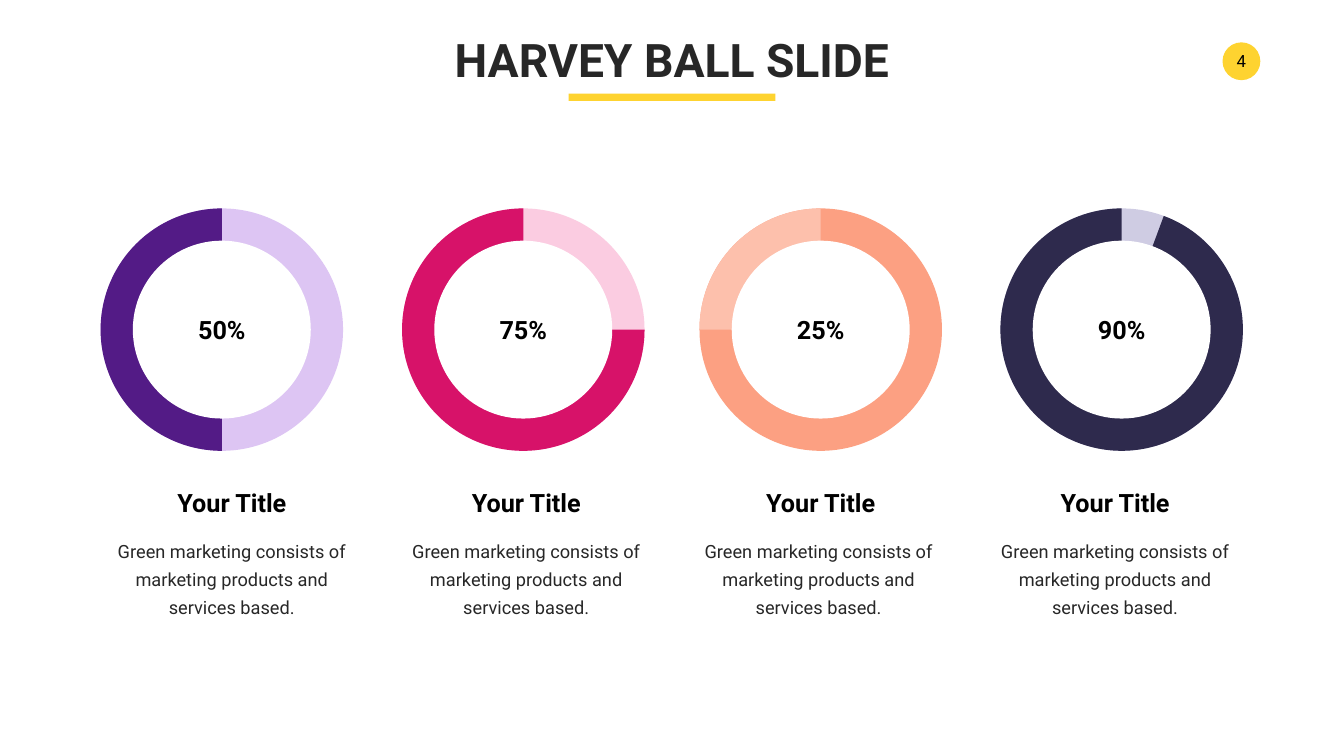
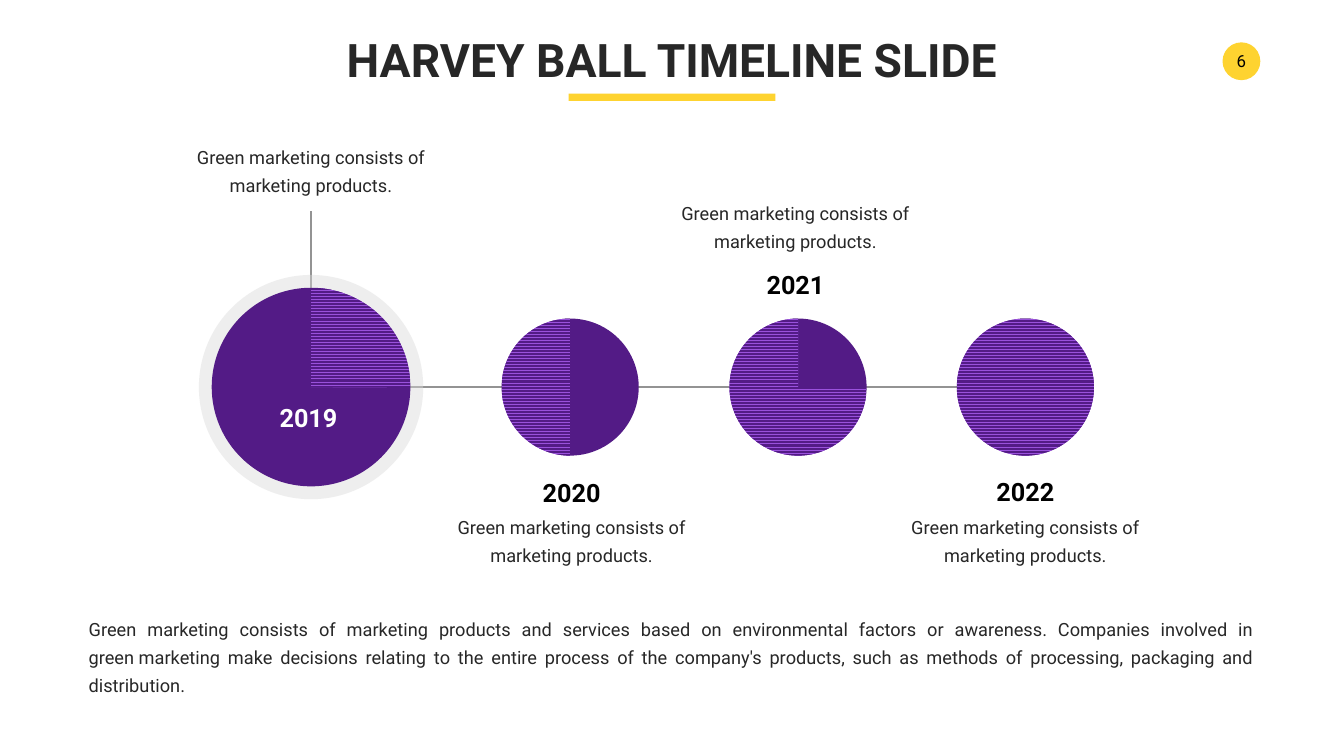
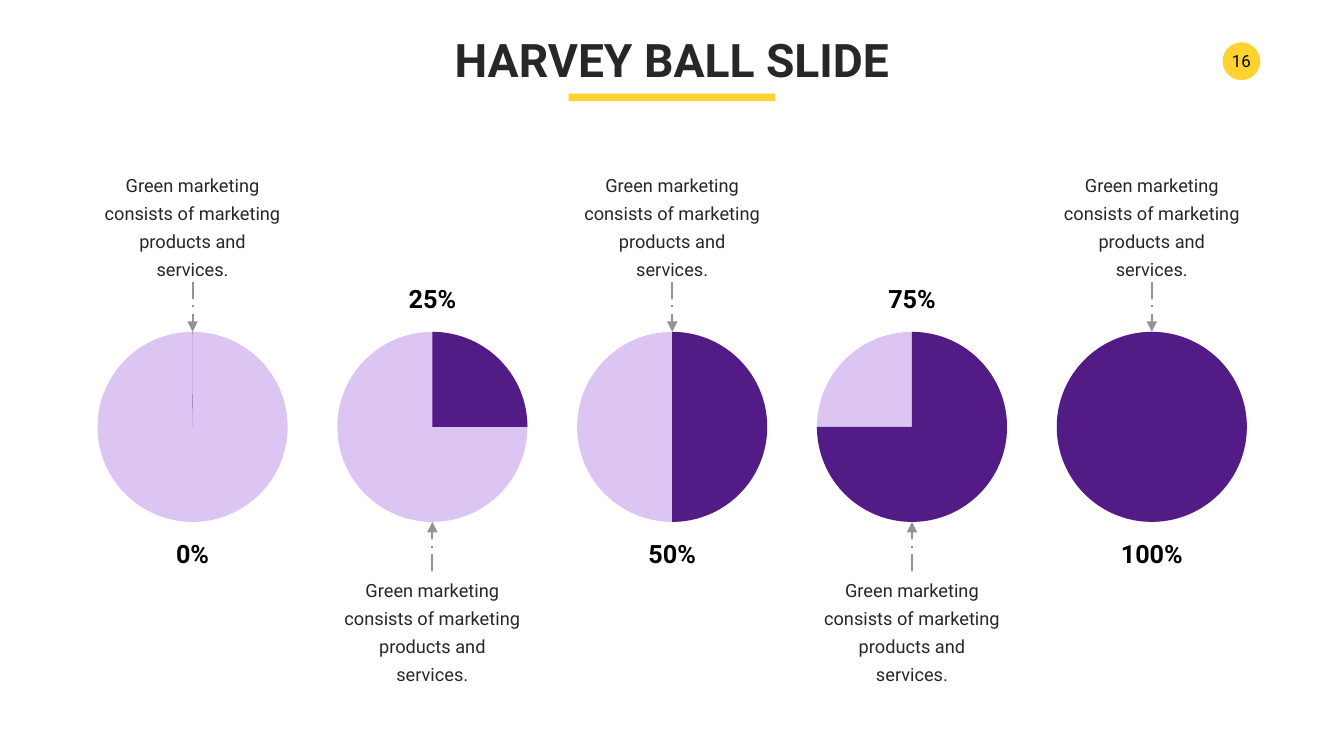
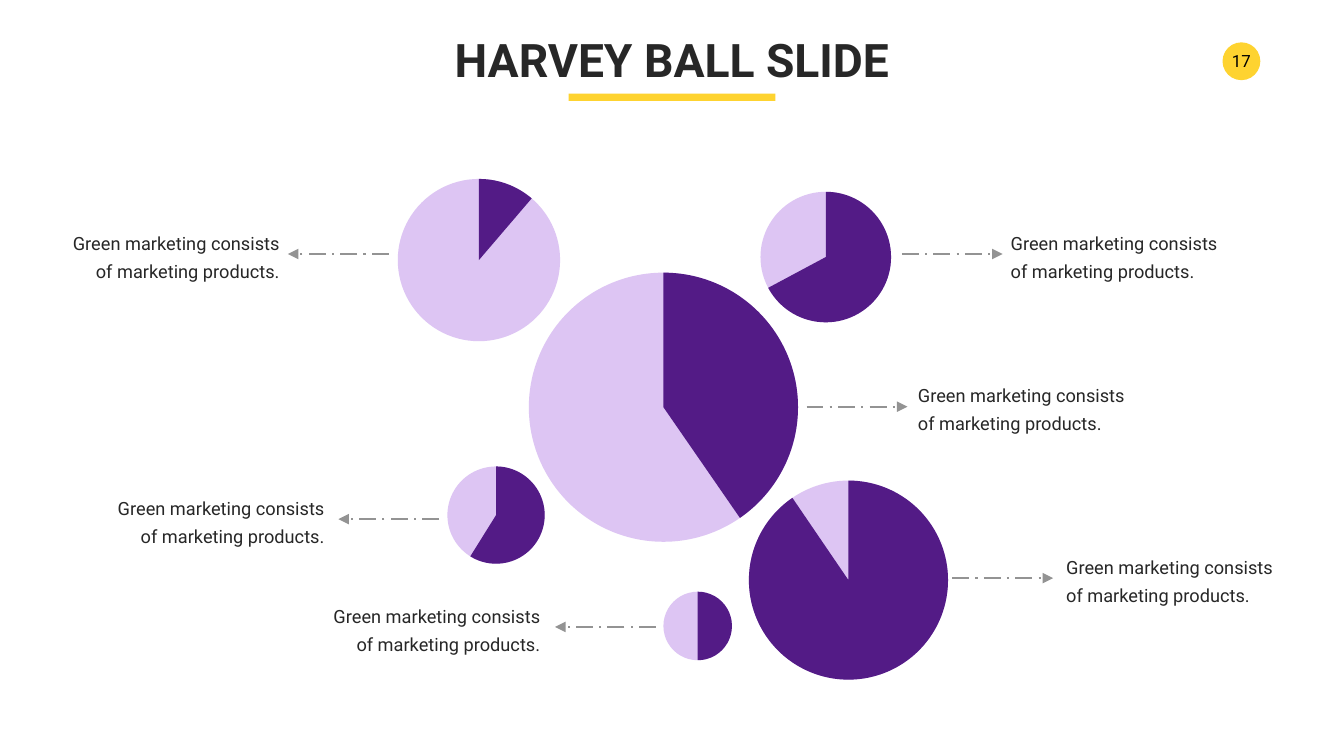
from lxml.etree import SubElement
from pptx import Presentation
from pptx.dml.color import RGBColor
from pptx.enum.dml import MSO_LINE, MSO_PATTERN
from pptx.enum.shapes import MSO_CONNECTOR, MSO_SHAPE
from pptx.enum.text import MSO_ANCHOR as ANCHOR, MSO_AUTO_SIZE as AUTO, PP_ALIGN as ALIGN
from pptx.oxml.ns import qn
from pptx.util import Inches, Pt

# Shared colours
YELLOW, DARK, BLACK, WHITE = "FED330", "272727", "000000", "FFFFFF"
PURPLE, LILAC, STRIPE = "531B86", "DDC5F3", "9A51DC"
GREY, HALO = "939393", "D9D9D9"

# Shared text styles
FONT = "Roboto"
TITLE = {"name": FONT, "size": Pt(66), "bold": True}
LABEL = {"name": FONT, "size": Pt(36), "bold": True}
BODY = {"name": FONT, "size": Pt(26), "bold": False}
NUMBER = {"name": FONT, "size": Pt(24), "bold": False}

NBSP = chr(160)  # keeps two words on one line
PRODUCTS = "Green marketing consists of marketing products."
SERVICES = "Green marketing consists of marketing products and services."
BASED = "Green marketing consists of marketing products and services based."
SUMMARY = (
    "Green marketing consists of marketing products and services based on "
    f"environmental factors or awareness. Companies involved in green{NBSP}marketing "
    "make decisions relating to the entire process of the company's products, "
    "such as methods of processing, packaging and distribution."
)

TOP = 270  # angle of twelve o'clock, in degrees clockwise from three o'clock


def rgb(value):
    return RGBColor.from_string(value)


def box(*lengths):
    return [Inches(n) for n in lengths]


def write(sp, text, style, color, align=ALIGN.CENTER, anchor=ANCHOR.TOP,
          wrap=True, spacing=None):
    """Put one formatted paragraph in a shape."""
    tf = sp.text_frame
    tf.text = text
    tf.word_wrap = wrap
    tf.vertical_anchor = anchor
    p = tf.paragraphs[0]
    p.alignment = align
    if spacing:
        p.line_spacing = Pt(spacing)
    font = p.runs[0].font
    for name, value in style.items():
        setattr(font, name, value)
    font.color.rgb = rgb(color)
    return tf


def add_text(slide, text, x, y, w, h, style, color, **options):
    sp = slide.shapes.add_textbox(*box(x, y, w, h))
    write(sp, text, style, color, **options).auto_size = AUTO.SHAPE_TO_FIT_TEXT
    return sp


def add_label(slide, text, cx, y, w=1.15, color=BLACK):
    """Bold heading centred on cx."""
    add_text(slide, text, cx - w / 2, y, w, 0.71, LABEL, color, wrap=False)


def add_caption(slide, text, x, y, w, h, **options):
    return add_text(slide, text, x, y, w, h, BODY, DARK, spacing=40, **options)


def add_plain(slide, kind, x, y, w, h, color):
    sp = slide.shapes.add_shape(kind, *box(x, y, w, h))
    sp.shadow.inherit = False
    sp.fill.solid()
    sp.fill.fore_color.rgb = rgb(color)
    sp.line.fill.background()
    return sp


def add_disc(slide, cx, cy, d, color, kind=MSO_SHAPE.OVAL):
    return add_plain(slide, kind, cx - d / 2, cy - d / 2, d, d, color)


def add_ball(slide, cx, cy, d, base, slice_color, start, end, stripe=None):
    """Harvey ball: a disc with a slice running clockwise from start to end."""
    add_disc(slide, cx, cy, d, base)
    sp = add_disc(slide, cx, cy, d, slice_color, MSO_SHAPE.PIE)
    for i, angle in enumerate((start, end)):
        sp.adjustments[i] = angle * 0.6
    if stripe:
        sp.fill.patterned()
        sp.fill.pattern = MSO_PATTERN.ZIG_ZAG
        sp.fill.fore_color.rgb = rgb(slice_color)
        sp.fill.back_color.rgb = rgb(stripe)


def add_line(slide, x1, y1, x2, y2, width=2.5):
    cxn = slide.shapes.add_connector(MSO_CONNECTOR.STRAIGHT, *box(x1, y1, x2, y2))
    cxn.line.color.rgb = rgb(GREY)
    cxn.line.width = Pt(width)
    SubElement(cxn._element.spPr, qn("a:effectLst"))
    return cxn


def add_arrow(slide, x1, y1, x2, y2):
    cxn = add_line(slide, x1, y1, x2, y2, width=3)
    cxn.line.dash_style = MSO_LINE.LONG_DASH_DOT
    SubElement(cxn.line._get_or_add_ln(), qn("a:tailEnd"),
               type="triangle", w="lg", len="lg")
    return cxn


def add_slide(prs, title, number):
    """Title-only slide with the underline and the number badge."""
    slide = prs.slides.add_slide(prs.slide_layouts[5])
    sp = slide.shapes.title
    sp.left, sp.top, sp.width, sp.height = box(6.71, 0.57, 13.24, 1.21)
    write(sp, title, TITLE, DARK, wrap=False).auto_size = AUTO.SHAPE_TO_FIT_TEXT
    add_plain(slide, MSO_SHAPE.RECTANGLE, 11.28, 1.86, 4.1, 0.14, YELLOW)
    badge = add_plain(slide, MSO_SHAPE.OVAL, 24.25, 0.84, 0.75, 0.75, YELLOW)
    tf = write(badge, str(number), NUMBER, BLACK, anchor=ANCHOR.MIDDLE)
    for side in ("left", "top", "right", "bottom"):
        setattr(tf, f"margin_{side}", Inches(0.05))
    return slide


def rings_slide(prs):
    slide = add_slide(prs, "HARVEY BALL SLIDE", 4)
    rings = [  # label, ring centre, caption centre, base, slice, start angle
        ("50%", 4.4, 4.6, LILAC, PURPLE, 90),
        ("75%", 10.38, 10.44, "FBCCE1", "D71269", 0),
        ("25%", 16.28, 16.24, "FCA082", "FDC0AC", 180),
        ("90%", 22.25, 22.12, "CFCCE3", "2E2A4D", 290.33),
    ]
    cy = 6.54
    for i, (label, cx, caption_cx, base, color, start) in enumerate(rings):
        add_ball(slide, cx, cy, 4.81, base, color, start, TOP)
        add_disc(slide, cx, cy, 3.53, WHITE)
        add_label(slide, label, cx, 6.19)
        add_label(slide, "Your Title", 4.6 + 5.84 * i, 9.62, 2.4)
        add_caption(slide, BASED, caption_cx - 2.65, 10.55, 5.3, 1.73)


def timeline_slide(prs):
    slide = add_slide(prs, "HARVEY BALL TIMELINE SLIDE", 6)
    first, cy = 6.17, 7.68
    add_line(slide, first, cy, first, 4.19)
    add_line(slide, first, cy, 20.34, cy)

    # Large first ball on a translucent halo
    halo = add_disc(slide, first, cy, 4.45, HALO)
    clr = halo.fill._xPr.find(qn("a:solidFill"))[0]
    SubElement(clr, qn("a:alpha"), val="43000")
    add_ball(slide, first, cy, 3.94, PURPLE, PURPLE, TOP, 0.53, STRIPE)
    add_label(slide, "2019", 6.12, 7.93, 1.36, WHITE)
    add_caption(slide, PRODUCTS, first - 2.65, 2.77, 5.3, 1.17, anchor=ANCHOR.BOTTOM)

    later = [  # year, ball centre, text centre, slice angles, text tops, anchor
        ("2020", 11.31, 11.34, 90, TOP, 9.42, 10.08, ANCHOR.TOP),
        ("2021", 15.83, 15.78, 0, TOP, 5.29, 3.88, ANCHOR.BOTTOM),
        ("2022", 20.34, 20.34, TOP + 0.25, TOP - 0.11, 9.41, 10.08, ANCHOR.TOP),
    ]
    for year, cx, text_cx, start, end, year_y, caption_y, anchor in later:
        add_ball(slide, cx, cy, 2.72, PURPLE, PURPLE, start, end, STRIPE)
        add_label(slide, year, text_cx, year_y, 1.36)
        add_caption(slide, PRODUCTS, text_cx - 2.65, caption_y, 5.3, 1.17,
                    anchor=anchor)

    add_caption(slide, SUMMARY, 1.66, 12.12, 23.33, 1.73,
                align=ALIGN.JUSTIFY, anchor=ANCHOR.MIDDLE)


def steps_slide(prs):
    slide = add_slide(prs, "HARVEY BALL SLIDE", 16)
    d, cy = 3.77, 8.47
    steps = [  # label, label width, slice angles
        ("0%", 0.86, 269.81, 269.89),
        ("25%", 1.15, TOP, 0),
        ("50%", 1.15, TOP, 90),
        ("75%", 1.15, TOP, 180),
        ("100%", 1.44, 269.17, 269.08),
    ]
    for i, (label, w, start, end) in enumerate(steps):
        cx = 3.82 + 4.757 * i
        add_ball(slide, cx, cy, d, LILAC, PURPLE, start, end)
        # Captions alternate: above the even balls, below the odd ones
        if i % 2 == 0:
            label_y, caption_y, anchor, side, tip = 10.63, 3.87, ANCHOR.BOTTOM, 2, cy - d / 2
        else:
            label_y, caption_y, anchor, side, tip = 5.57, 11.33, ANCHOR.TOP, 0, cy + d / 2
        add_label(slide, label, cx, label_y, w)
        caption = add_caption(slide, SERVICES, cx - 1.91, caption_y, 3.82, 1.73,
                              anchor=anchor)
        arrow = add_arrow(slide, cx, caption_y, cx, tip)
        arrow.begin_connect(caption, side)


def cluster_slide(prs):
    slide = add_slide(prs, "HARVEY BALL SLIDE", 17)
    balls = [  # centre x, centre y, diameter, end angle
        (13.16, 8.08, 5.34, 55.35),
        (16.83, 11.51, 3.95, 235.72),
        (9.5, 5.16, 3.22, 310.53),
        (16.38, 5.1, 2.59, 151.86),
        (9.84, 10.22, 1.93, 121.93),
        (13.84, 12.42, 1.36, 90),
    ]
    for cx, cy, d, end in balls:
        add_ball(slide, cx, cy, d, LILAC, PURPLE, TOP, end)

    notes = [  # arrow start x, y, arrow run, caption left
        (17.89, 5.04, 2, 19.95),
        (18.89, 11.47, 2, 21.05),
        (16, 8.07, 2, 18.11),
        (7.71, 5.04, -2, 1.05),
        (8.71, 10.3, -2, 1.94),
        (13.01, 12.44, -2, 6.22),
    ]
    for x, y, run, left in notes:
        add_arrow(slide, x, y, x + run, y)
        add_caption(slide, PRODUCTS, left, y - 0.59, 4.6, 1.17, anchor=ANCHOR.MIDDLE,
                    align=ALIGN.LEFT if run > 0 else ALIGN.RIGHT)


def main():
    prs = Presentation()
    prs.slide_width, prs.slide_height = box(26.66, 15)
    rings_slide(prs)
    timeline_slide(prs)
    steps_slide(prs)
    cluster_slide(prs)
    prs.save("out.pptx")


if __name__ == "__main__":
    main()
